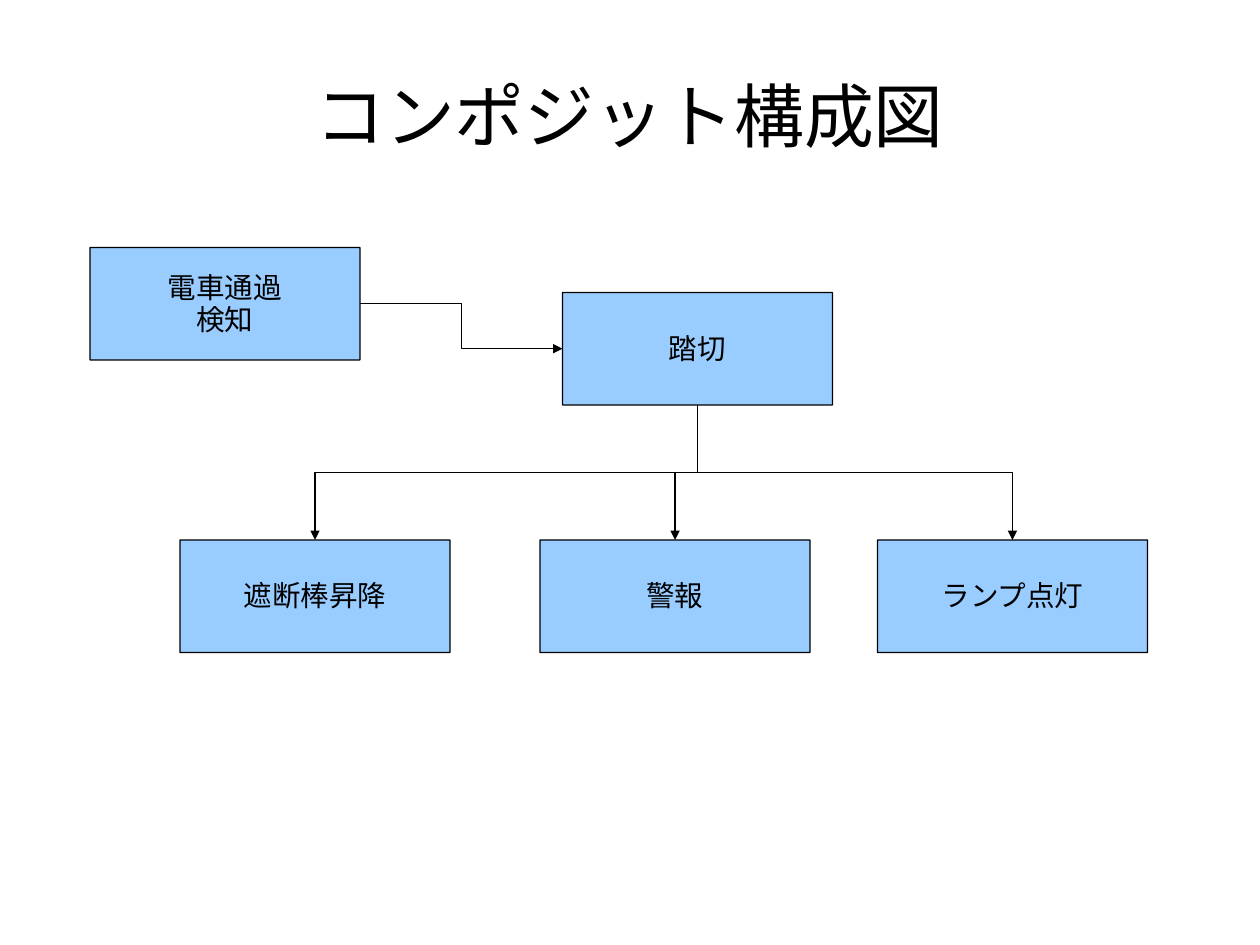
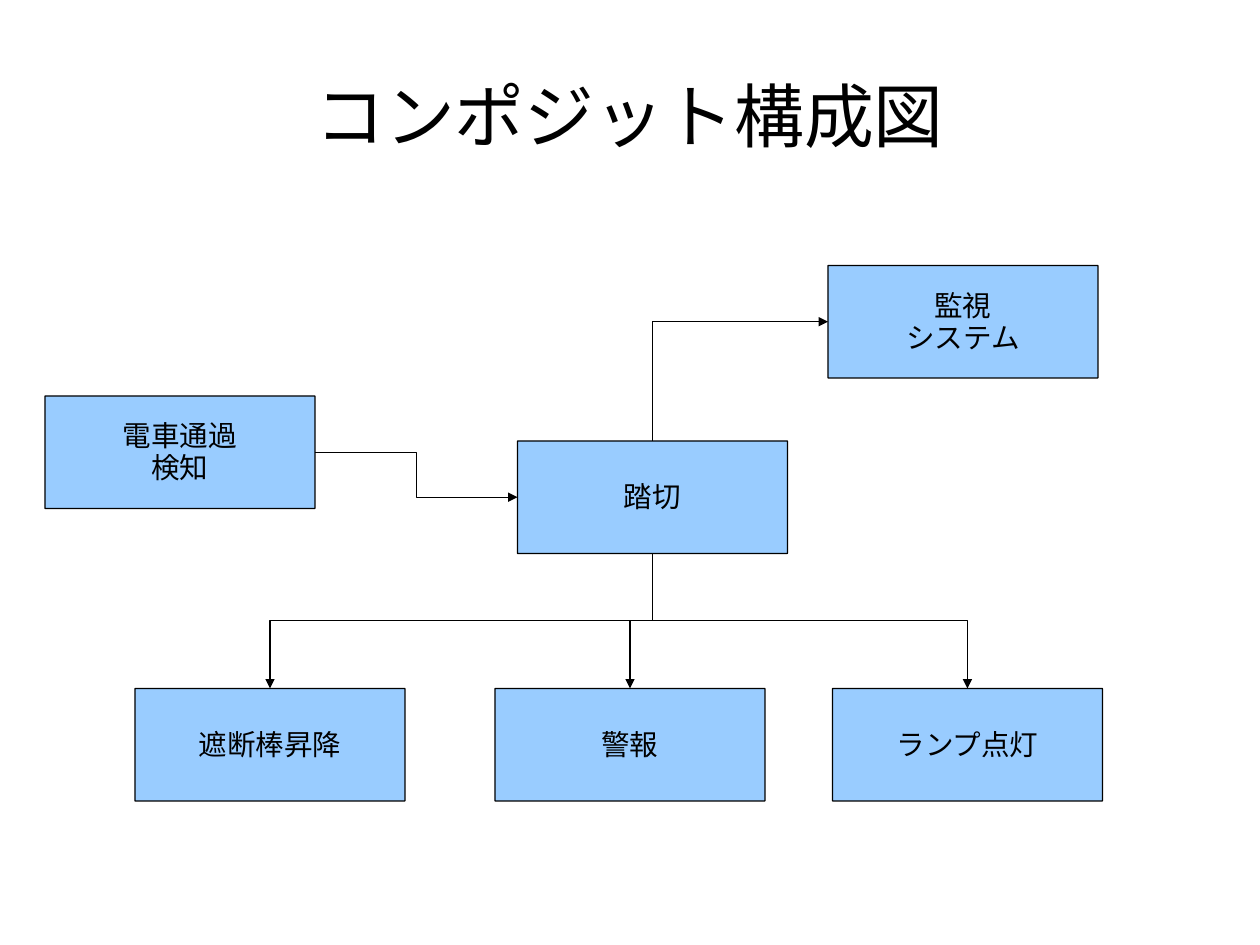
import lxml.etree
import pptx
import pptx.dml.color
import pptx.enum.shapes
import pptx.enum.text
import pptx.oxml.ns
import pptx.util

Inches = pptx.util.Inches
qn = pptx.oxml.ns.qn

COLOURS = {"box": "99CCFF", "ink": "000000"}
FONT = "Arial"
TITLE = "コンポジット構成図"
GRID = 1 / 2.54
PAGE_WIDTH, PAGE_HEIGHT = 28, 21
BOX_WIDTH, BOX_HEIGHT = 6, 2.5
TOP, LEFT, BOTTOM, RIGHT = range(4)

BASE_BOXES = {
    "crossing": ("踏切", 12.5, 6.5),
    "barrier": ("遮断棒昇降", 4, 12),
    "alarm": ("警報", 12, 12),
    "lamp": ("ランプ点灯", 19.5, 12),
    "detector": ("電車通過\n検知", 2, 5.5),
}
BASE_LINKS = [("detector", RIGHT, "crossing", LEFT)]
BASE_LINKS += [("crossing", BOTTOM, name, TOP) for name in ("barrier", "alarm", "lamp")]

SLIDES = [
    {"shift": (0, 0), "boxes": {}, "links": []},
    {
        "shift": (-1, 3.3),
        "boxes": {"monitor": ("監視\nシステム", 19.4, 2.6)},
        "links": [("crossing", TOP, "monitor", LEFT)],
    },
]


def format_text(shape, size, margins):
    frame = shape.text_frame
    frame.word_wrap = True
    frame.auto_size = pptx.enum.text.MSO_AUTO_SIZE.NONE
    frame.vertical_anchor = pptx.enum.text.MSO_ANCHOR.MIDDLE
    frame.margin_left, frame.margin_top, frame.margin_right, frame.margin_bottom = map(Inches, margins)
    for paragraph in frame.paragraphs:
        paragraph.alignment = pptx.enum.text.PP_ALIGN.CENTER
        paragraph.line_spacing = 0.93
        for run in paragraph.runs:
            run.font.name = FONT
            run.font.size = pptx.util.Pt(size)
            run.font.color.rgb = pptx.dml.color.RGBColor.from_string(COLOURS["ink"])


def format_line(line):
    line.color.rgb = pptx.dml.color.RGBColor.from_string(COLOURS["ink"])
    line.width = pptx.util.Pt(0.75)


presentation = pptx.Presentation()
presentation.slide_width = Inches(PAGE_WIDTH * GRID)
presentation.slide_height = Inches(PAGE_HEIGHT * GRID)
title_only = presentation.slide_layouts[5]

for content in SLIDES:
    slide = presentation.slides.add_slide(title_only)
    title = slide.shapes.title
    title.left, title.top, title.width, title.height = map(Inches, (0.55, 0.33, 9.92, 1.38))
    title.text_frame.text = TITLE
    format_text(title, 44, (0, 0.04, 0, 0))

    shift_x, shift_y = content["shift"]
    boxes = {}
    for name, (label, left, top) in {**BASE_BOXES, **content["boxes"]}.items():
        box = slide.shapes.add_shape(
            pptx.enum.shapes.MSO_SHAPE.ROUNDED_RECTANGLE,
            Inches((left + shift_x) * GRID),
            Inches((top + shift_y) * GRID),
            Inches(BOX_WIDTH * GRID),
            Inches(BOX_HEIGHT * GRID),
        )
        box.adjustments[0] = 0.002
        box.shadow.inherit = False
        box.fill.solid()
        box.fill.fore_color.rgb = pptx.dml.color.RGBColor.from_string(COLOURS["box"])
        format_line(box.line)
        box.text_frame.text = label
        format_text(box, 18, (0.1, 0.07, 0.1, 0.05))
        boxes[name] = box

    for source, source_side, target, target_side in BASE_LINKS + content["links"]:
        arrow = slide.shapes.add_connector(pptx.enum.shapes.MSO_CONNECTOR.ELBOW, 0, 0, 0, 0)
        arrow.begin_connect(boxes[source], source_side)
        arrow.end_connect(boxes[target], target_side)
        format_line(arrow.line)
        properties = arrow._element.spPr
        lxml.etree.SubElement(properties.find(qn("a:ln")), qn("a:tailEnd"), type="triangle")
        lxml.etree.SubElement(properties, qn("a:effectLst"))

        if source_side != RIGHT:
            begin_x, begin_y, end_x, end_y = arrow.begin_x, arrow.begin_y, arrow.end_x, arrow.end_y
            length, spread = abs(end_y - begin_y), abs(end_x - begin_x)
            arrow.left = (begin_x + end_x - length) // 2
            arrow.top = (begin_y + end_y - spread) // 2
            arrow.width, arrow.height = length, spread
            upward, rightward = end_y < begin_y, end_x > begin_x
            transform = properties.find(qn("a:xfrm"))
            transform.set("rot", str((270 if rightward and not upward else 90) * 60000))
            transform.set("flipH", str(int(rightward)))
            transform.set("flipV", str(int(upward)))
            if upward:
                properties.find(qn("a:prstGeom")).set("prst", "bentConnector2")

presentation.save("out.pptx")
